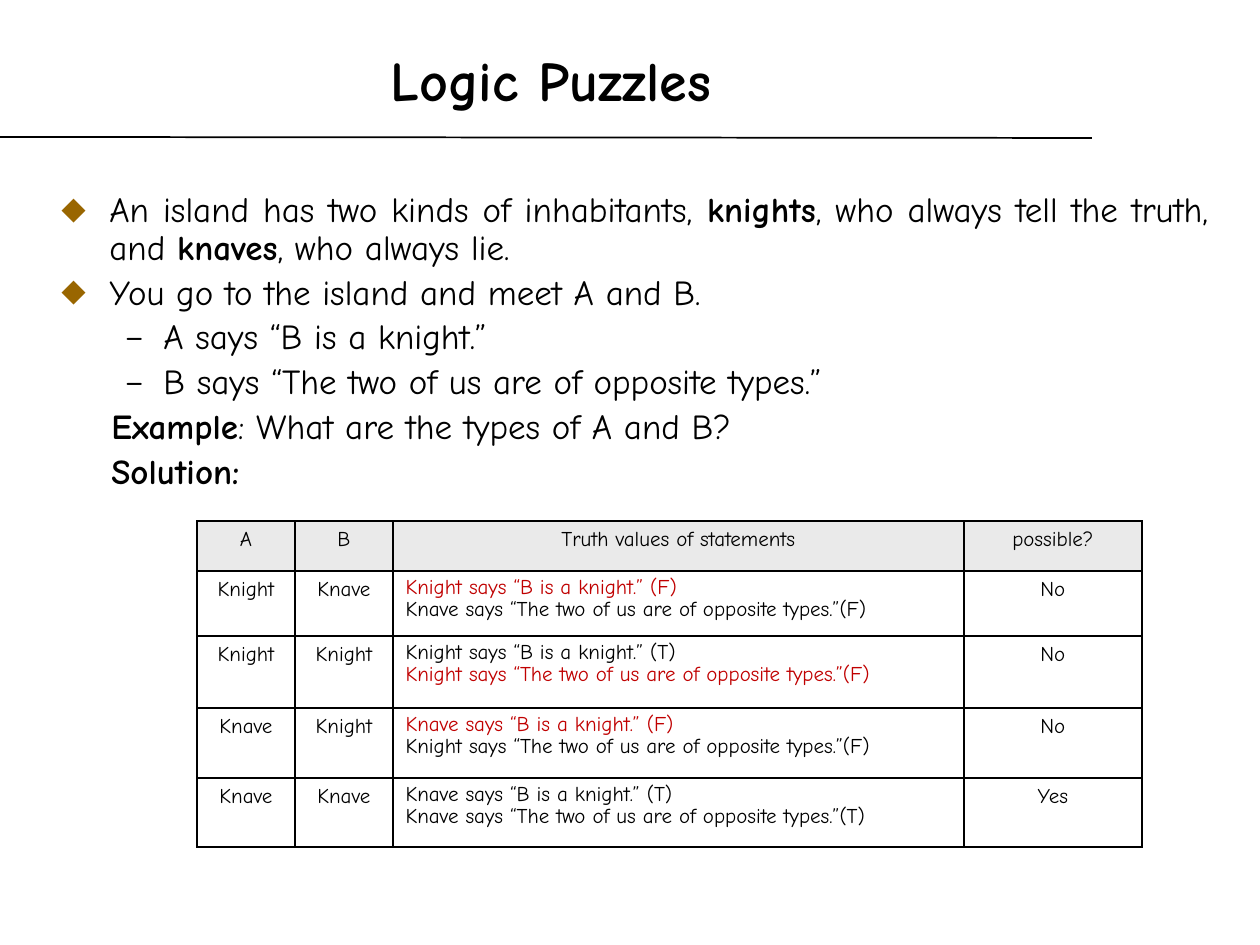
from lxml import etree
from pptx import Presentation, util as u
from pptx.dml.color import RGBColor
from pptx.enum import shapes, text
from pptx.oxml import ns

FONT = "Comic Neue"
BLACK, RED = "000000", "C00000"
PX = 914400 / 126


def px(*nums):
    return [round(n * PX) for n in nums]


def style(run, size, color=BLACK, bold=False):
    run.font.name = FONT
    run.font.size = u.Pt(size)
    run.font.bold = bold
    run.font.color.rgb = RGBColor.from_string(color)


prs = Presentation()
prs.slide_width, prs.slide_height = px(1260, 945)
slide = prs.slides.add_slide(prs.slide_layouts[6])

# Rule under the title
rule = slide.shapes.add_connector(shapes.MSO_CONNECTOR.STRAIGHT, *px(0, 137, 1092, 138))
rule.line.color.rgb = RGBColor.from_string(BLACK)
rule.line.width = u.Pt(1)
etree.SubElement(rule._element.spPr, ns.qn("a:effectLst"))

# Title
frame = slide.shapes.add_textbox(*px(10, 20, 1082, 118)).text_frame
frame.word_wrap = True
frame.vertical_anchor = text.MSO_ANCHOR.MIDDLE
frame.text = "Logic Puzzles"
frame.paragraphs[0].alignment = text.PP_ALIGN.CENTER
style(frame.paragraphs[0].runs[0], 32, bold=True)

# Puzzle: bullet kind and text, with bold parts between asterisks
lines = [
    ("main", "An island has two kinds of inhabitants, *knights*, who always tell the truth, "
             "and *knaves*, who always lie."),
    ("main", "You go to the island and meet A and B."),
    ("sub", "A says “B is a knight.”"),
    ("sub", "B says “The two of us are of opposite types.”"),
    ("plain", "*Example*: What are the types of A and B?"),
    ("plain", "*Solution:*"),
]
# Left margin, first-line indent, bullet, bullet colour, bullet size in percent
kinds = {
    "main": (48, -48, "⬥", "996600", 100),
    "sub": (102, -39, "–", BLACK, 95),
    "plain": (50, 0, None, None, None),
}
frame = slide.shapes.add_textbox(*px(49, 186, 1172, 344)).text_frame
frame.word_wrap = True
for i, (kind, line) in enumerate(lines):
    para = frame.paragraphs[0] if i == 0 else frame.add_paragraph()
    para.alignment = text.PP_ALIGN.JUSTIFY
    para.line_spacing = 0.9
    para.space_before = u.Pt(4)
    para.level = 1 if kind == "sub" else 0
    for j, part in enumerate(line.split("*")):
        if part:
            run = para.add_run()
            run.text = part
            style(run, 20, bold=j % 2 == 1)
    left, first, mark, color, size = kinds[kind]
    props = para._p.get_or_add_pPr()
    props.set("marL", str(px(left)[0]))
    props.set("indent", str(px(first)[0]))
    if mark:
        tint = etree.SubElement(props, ns.qn("a:buClr"))
        etree.SubElement(tint, ns.qn("a:srgbClr"), val=color)
        etree.SubElement(props, ns.qn("a:buSzPct"), val=str(size * 1000))
        etree.SubElement(props, ns.qn("a:buFont"), typeface=FONT)
        etree.SubElement(props, ns.qn("a:buChar"), char=mark)
    else:
        etree.SubElement(props, ns.qn("a:buNone"))

# Truth table: types of A and B, the truth of each statement, the verdict
cases = [
    ("Knight", "Knave", "FF", "No"),
    ("Knight", "Knight", "TF", "No"),
    ("Knave", "Knight", "FF", "No"),
    ("Knave", "Knave", "TT", "Yes"),
]
rows = [("A", "B", "Truth values of statements", "possible?")]
for a, b, truth, verdict in cases:
    said = (f"{a} says “B is a knight.” ({truth[0]})\n"
            f"{b} says “The two of us are of opposite types.”({truth[1]})")
    rows.append((a, b, said, verdict))
reds = {(1, 0), (2, 1), (3, 0)}  # row and statement that break the case

widths, heights = [98, 98, 571, 178], [50, 65, 72, 70, 69]
table = slide.shapes.add_table(
    5, 4, *px(197, 521, sum(widths), sum(heights))).table
table.first_row = table.horz_banding = False
for col, width in zip(table.columns, px(*widths)):
    col.width = width
for row, height in zip(table.rows, px(*heights)):
    row.height = height

for r, row in enumerate(rows):
    for c, words in enumerate(row):
        cell = table.cell(r, c)
        cell.text = words
        said = r > 0 and c == 2
        for i, para in enumerate(cell.text_frame.paragraphs):
            para.alignment = text.PP_ALIGN.LEFT if said else text.PP_ALIGN.CENTER
            if said:
                para.line_spacing = 0.9
            style(para.runs[0], 12, RED if said and (r, i) in reds else BLACK)
        props = cell._tc.get_or_add_tcPr()
        for side in ("lnL", "lnR", "lnT", "lnB"):
            edge = etree.SubElement(props, ns.qn("a:" + side), w=str(u.Pt(1)))
            fill = etree.SubElement(edge, ns.qn("a:solidFill"))
            etree.SubElement(fill, ns.qn("a:srgbClr"), val=BLACK)
        if r == 0:
            cell.fill.solid()
            cell.fill.fore_color.rgb = RGBColor.from_string("EAEAEA")
        else:
            cell.fill.background()

prs.save("out.pptx")
